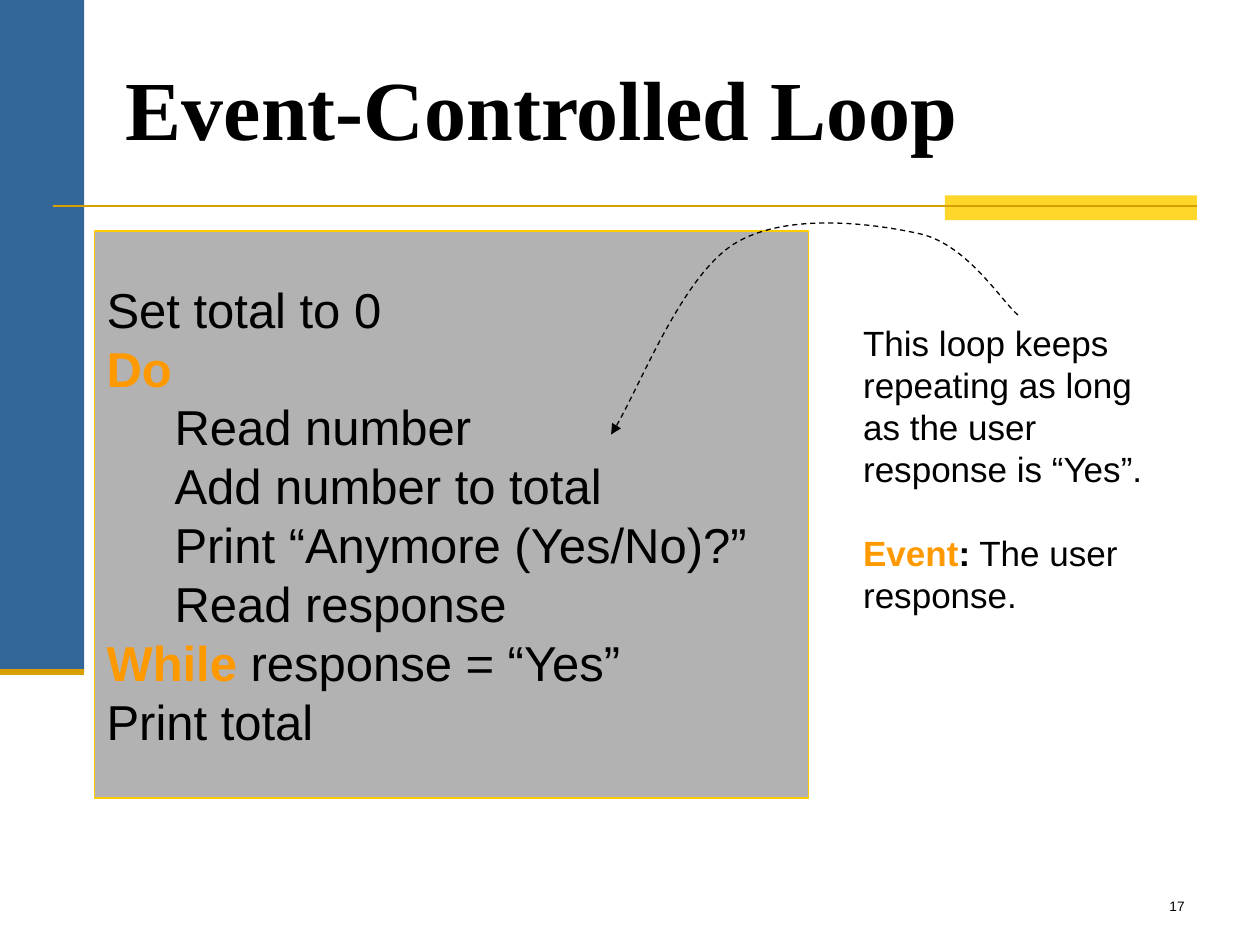
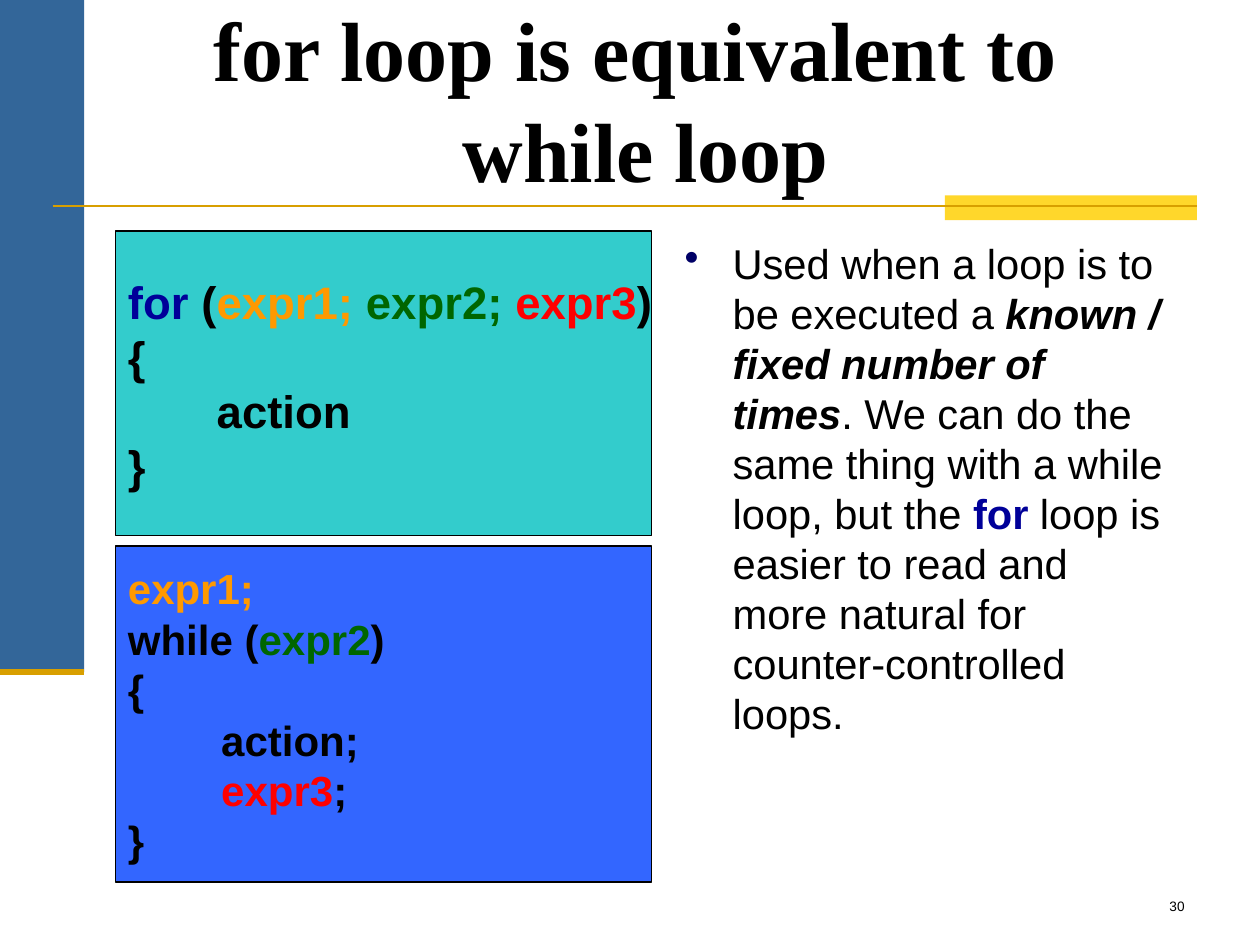
import pptx
import pptx.util
import pptx.dml.color
import pptx.enum.dml
import pptx.enum.shapes
import pptx.enum.text
import lxml.etree

Cm = pptx.util.Cm
Pt = pptx.util.Pt
RECT = pptx.enum.shapes.MSO_SHAPE.RECTANGLE
LEFT = pptx.enum.text.PP_ALIGN.LEFT
CENTER = pptx.enum.text.PP_ALIGN.CENTER
RIGHT = pptx.enum.text.PP_ALIGN.RIGHT
TOP = pptx.enum.text.MSO_ANCHOR.TOP
MIDDLE = pptx.enum.text.MSO_ANCHOR.MIDDLE
BOTTOM = pptx.enum.text.MSO_ANCHOR.BOTTOM
A = "{http://schemas.openxmlformats.org/drawingml/2006/main}"

BLUE, YELLOW, GOLD = "336699", "FFD72B", "D89F00"
BLACK, ORANGE, NAVY, GREEN, RED = "000000", "FF9900", "000099", "006600", "FF0000"


def rgb(color):
    return pptx.dml.color.RGBColor.from_string(color)


def write(sp, paras, size, font="Arial", anchor=TOP, align=LEFT, wrap=True, inset=0.25):
    tf = sp.text_frame
    tf.word_wrap = wrap
    tf.vertical_anchor = anchor
    tf.margin_left = tf.margin_right = Cm(inset)
    tf.margin_top = Cm(0.13)
    tf.margin_bottom = Cm(0.13 if inset else 0)
    for i, (indent, runs) in enumerate(paras):
        p = tf.paragraphs[0] if i == 0 else tf.add_paragraph()
        p.alignment = align
        if indent:
            p._p.get_or_add_pPr().set("marL", str(Cm(indent)))
        for text, color, style in runs:
            if text == "\n":
                p.add_line_break()
                continue
            r = p.add_run()
            r.text = text
            r.font.name = font
            r.font.size = Pt(size)
            r.font.color.rgb = rgb(color)
            r.font.bold = "b" in style
            r.font.italic = "i" in style
    return tf


prs = pptx.Presentation()
prs.slide_width = Cm(25.4)
prs.slide_height = Cm(19.05)

titles = [
    ("17", (2.54, 0.76, 21.59, 2.41), LEFT, [("Event-Controlled Loop", BLACK, "b")]),
    ("30", (1.27, 1.47, 23.5, 2.54), CENTER,
     [("for loop is equivalent to ", BLACK, "b"), ("\n", BLACK, ""),
      ("while loop", BLACK, "b")]),
]
for number, box, align, runs in titles:
    s = prs.slides.add_slide(prs.slide_layouts[6])
    for x, y, w, h, color in [(0, 0, 1.7, 13.55, BLUE), (19.05, 3.94, 5.08, 0.5, YELLOW)]:
        sp = s.shapes.add_shape(RECT, Cm(x), Cm(y), Cm(w), Cm(h))
        sp.shadow.inherit = False
        sp.fill.solid()
        sp.fill.fore_color.rgb = rgb(color)
        sp.line.fill.background()
    for x1, x2, y, width in [(1.06, 24.13, 4.15, 1.5), (0, 1.7, 13.55, 3.5)]:
        line = s.shapes.add_connector(
            pptx.enum.shapes.MSO_CONNECTOR.STRAIGHT, Cm(x1), Cm(y), Cm(x2), Cm(y))
        line.line.color.rgb = rgb(GOLD)
        line.line.width = Pt(width)
        lxml.etree.SubElement(line._element.spPr, A + "effectLst")
    sp = s.shapes.add_textbox(*[Cm(v) for v in box])
    write(sp, [(0, runs)], 48, "Times New Roman", BOTTOM, align, inset=0)
    sp = s.shapes.add_textbox(Cm(18.85), Cm(17.98), Cm(5.28), Cm(0.64))
    write(sp, [(0, [(number, BLACK, "")])], 7.8, align=RIGHT)

event_slide, for_slide = prs.slides

event_code = [
    (0, [("Set total to 0", BLACK, "")]),
    (0, [("Do", ORANGE, "b")]),
    (1.37, [("Read number", BLACK, "")]),
    (1.37, [("Add number to total", BLACK, "")]),
    (1.37, [("Print “Anymore (Yes/No)?”", BLACK, "")]),
    (1.37, [("Read response", BLACK, "")]),
    (0, [("While", ORANGE, "b"), (" response = “Yes”", BLACK, "")]),
    (0, [("Print total", BLACK, "")]),
]
for_code = [
    (0, [("for ", NAVY, "b"), ("(", BLACK, "b"), ("expr1; ", ORANGE, "b"),
         ("expr2; ", GREEN, "b"), ("expr3", RED, "b"), (")", BLACK, "b")]),
    (0, [("{", BLACK, "b")]),
    (1.79, [("action", BLACK, "b")]),
    (0, [("}", BLACK, "b")]),
]
while_code = [
    (0, [("expr1;", ORANGE, "b")]),
    (0, [("while (", BLACK, "b"), ("expr2", GREEN, "b"), (")", BLACK, "b")]),
    (0, [("{", BLACK, "b")]),
    (1.88, [("action;", BLACK, "b")]),
    (1.88, [("expr3", RED, "b"), (";", BLACK, "b")]),
    (0, [("}", BLACK, "b")]),
]
code_boxes = [
    (event_slide, (1.9, 4.66, 14.4, 11.43), "B2B2B2", "FFCC00", 28, event_code),
    (for_slide, (2.33, 4.66, 10.8, 6.14), "33CCCC", BLACK, 26, for_code),
    (for_slide, (2.33, 11.01, 10.8, 6.77), "3366FF", BLACK, 24, while_code),
]
for s, box, fill, border, size, code in code_boxes:
    sp = s.shapes.add_shape(RECT, *[Cm(v) for v in box])
    sp.shadow.inherit = False
    sp.fill.solid()
    sp.fill.fore_color.rgb = rgb(fill)
    sp.line.color.rgb = rgb(border)
    sp.line.width = Pt(0.75)
    write(sp, code, size, anchor=MIDDLE, wrap=False)

curve = [(20.52, 6.35), (20.19, 6.07), (19.51, 4.95), (18.57, 4.72), (17.6, 4.5),
         (15.82, 4.27), (14.78, 4.93), (13.74, 5.61), (12.83, 7.98), (12.32, 8.76)]
points = [(Cm(x), Cm(y)) for x, y in curve]
fb = event_slide.shapes.build_freeform(*points[0])
fb.add_line_segments(points[1:], close=False)
sp = fb.convert_to_shape()
sp.shadow.inherit = False
sp.fill.background()
sp.line.color.rgb = rgb(BLACK)
sp.line.width = Pt(0.75)
sp.line.dash_style = pptx.enum.dml.MSO_LINE.DASH
lxml.etree.SubElement(sp._element.spPr.find(A + "ln"), A + "tailEnd", type="triangle")
outline = next(sp._element.iter(A + "path"))
segments = outline.findall(A + "lnTo")
for i in range(0, len(segments), 3):
    bezier = lxml.etree.SubElement(outline, A + "cubicBezTo")
    for segment in segments[i:i + 3]:
        bezier.append(segment[0])
        outline.remove(segment)

sp = event_slide.shapes.add_textbox(Cm(17.15), Cm(6.35), Cm(6.35), Cm(6.2))
tf = write(sp, [
    (0, [("This loop keeps repeating as long as the user response is “Yes”.", BLACK, "")]),
    (0, [("Event", ORANGE, "b"), (":", BLACK, "b"), (" The user response.", BLACK, "")]),
], 20)
tf.paragraphs[1].space_before = Pt(24)

sp = for_slide.shapes.add_textbox(Cm(13.55), Cm(4.66), Cm(10.36), Cm(11.94))
tf = write(sp, [(0.97, [
    ("Used when a loop is to be executed a ", BLACK, ""),
    ("known / fixed number of times", BLACK, "bi"),
    (". We can do the same thing with a while loop, but the ", BLACK, ""),
    ("for", NAVY, "b"),
    (" loop is easier to read and more natural for counter-controlled loops.", BLACK, ""),
])], 23.8)
p = tf.paragraphs[0]
p.space_before = Pt(7)
pPr = p._p.get_or_add_pPr()
pPr.set("indent", str(-Cm(0.97)))
buClr = lxml.etree.SubElement(pPr, A + "buClr")
lxml.etree.SubElement(buClr, A + "srgbClr", val="000066")
lxml.etree.SubElement(pPr, A + "buChar", char="•")

prs.save("out.pptx")
